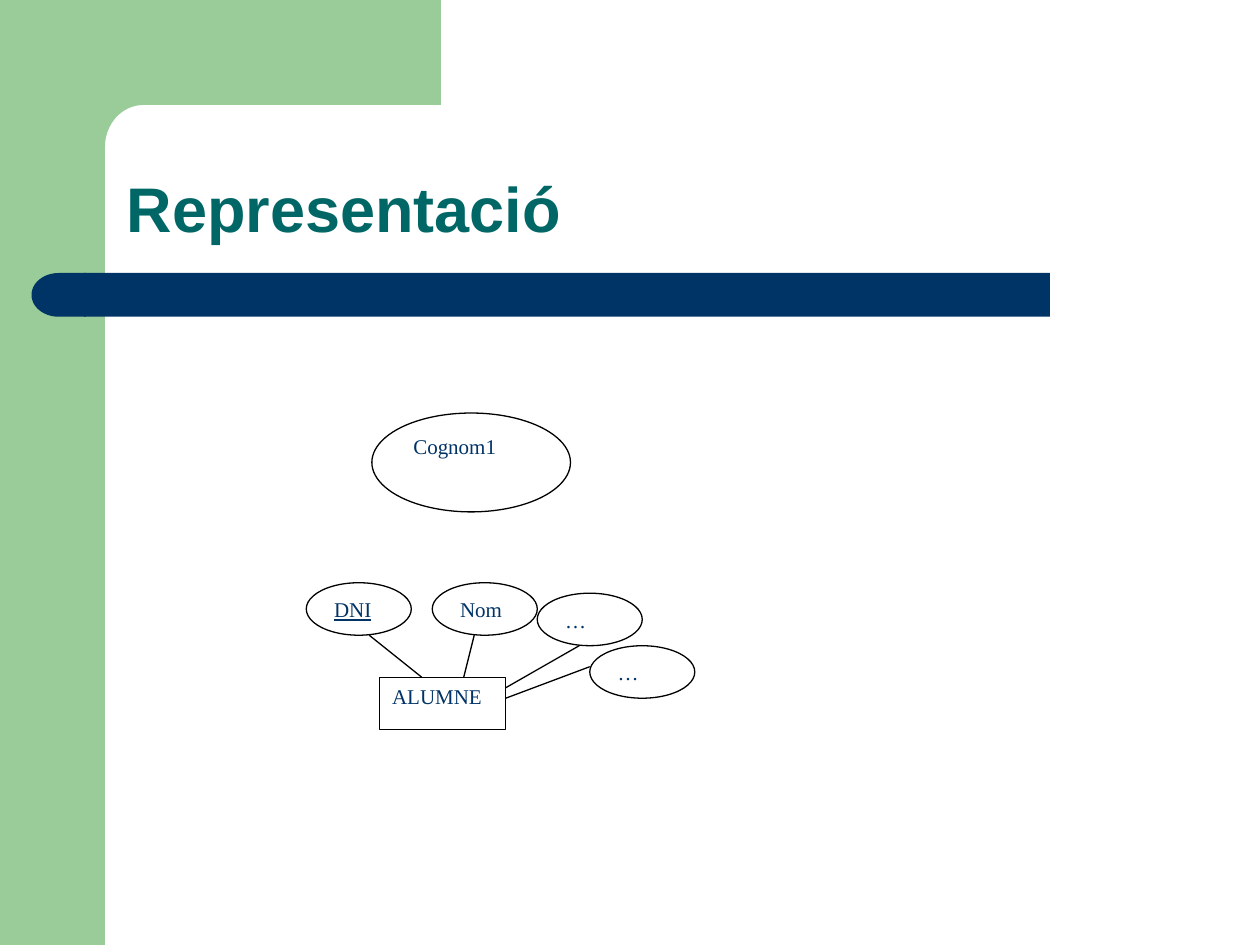
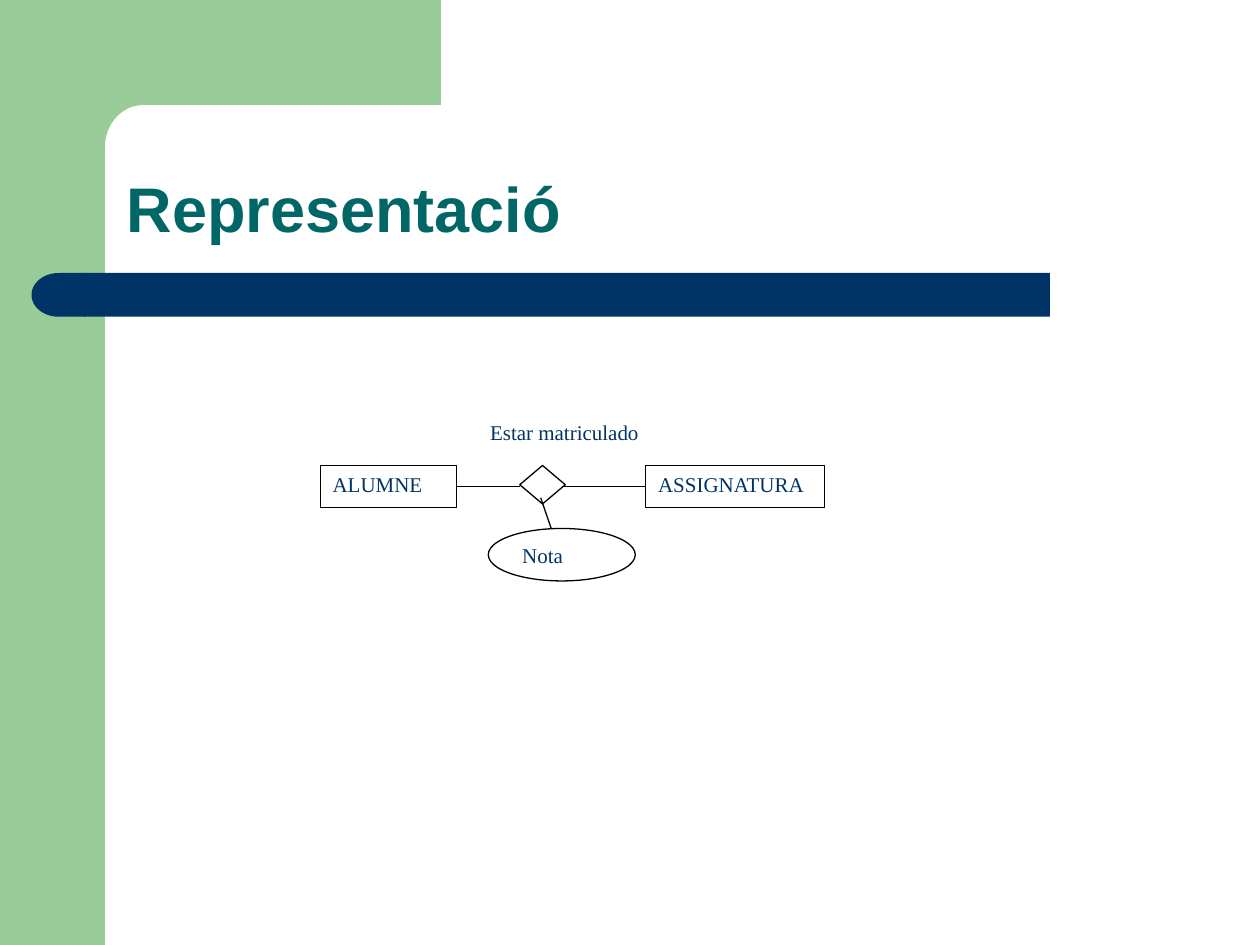
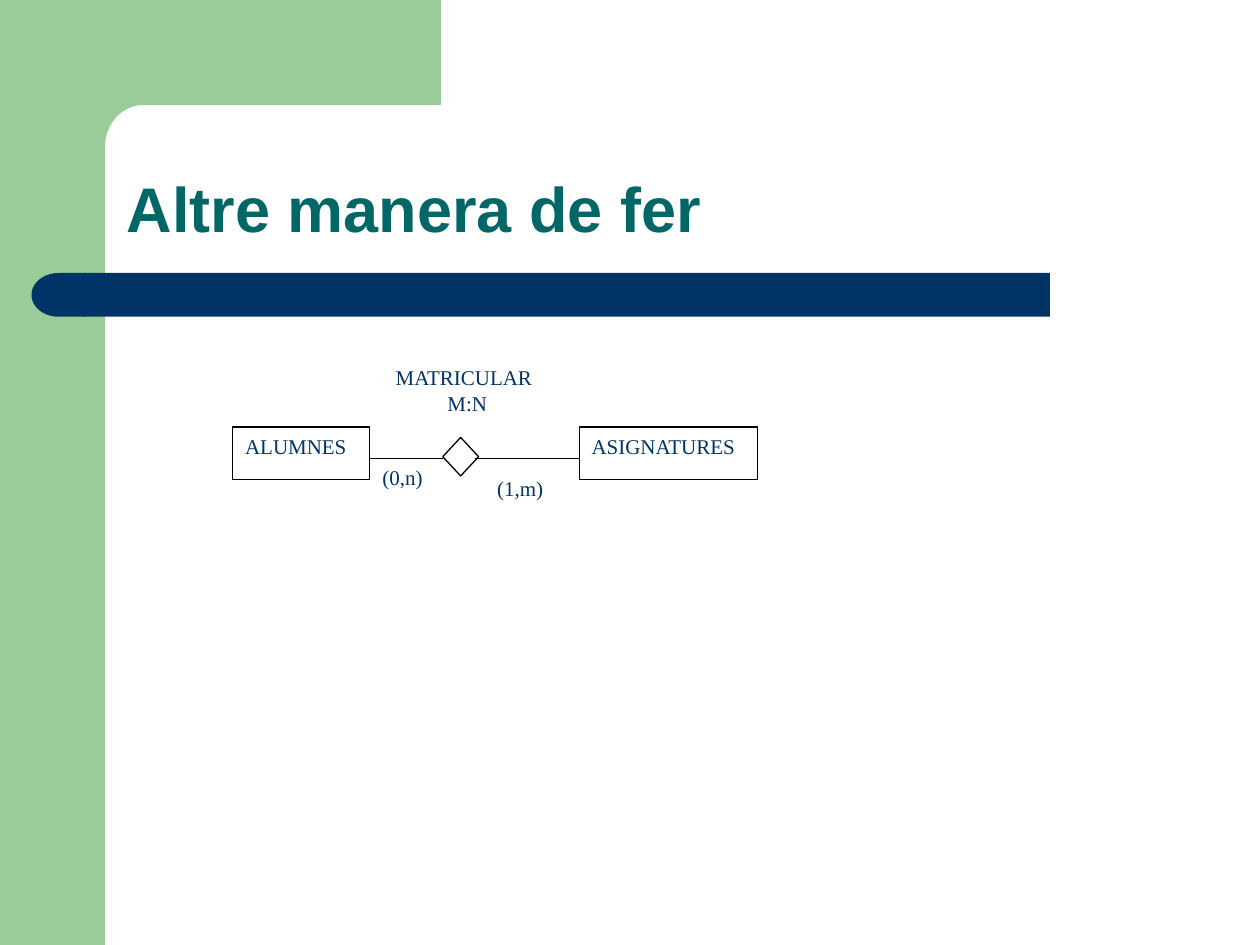
"""Build three entity-relationship slides that share one frame."""
import math
from dataclasses import dataclass
from typing import Optional

from lxml import etree
from pptx import Presentation
from pptx.dml.color import RGBColor
from pptx.enum import shapes, text
from pptx.oxml.ns import qn
from pptx.util import Pt

GREEN = RGBColor(0x99, 0xCC, 0x99)
NAVY = RGBColor(0x00, 0x33, 0x66)
TEAL = RGBColor(0x00, 0x66, 0x66)
WHITE = RGBColor(0xFF, 0xFF, 0xFF)
BLACK = RGBColor(0x00, 0x00, 0x00)

SHAPE = shapes.MSO_SHAPE
LEFT, CENTER = text.PP_ALIGN.LEFT, text.PP_ALIGN.CENTER
SIDE_LEFT, SIDE_RIGHT = 1, 3
STROKE = 0.75


@dataclass(frozen=True)
class Node:
    """A labelled diagram shape; further lines of its label are centred."""

    label: str
    x: float
    y: float
    w: float
    h: float
    kind: int = SHAPE.RECTANGLE
    outlined: bool = True
    underline: Optional[bool] = None


@dataclass(frozen=True)
class Link:
    """A straight line, optionally joined to the sides of named entities."""

    x1: float
    y1: float
    x2: float
    y2: float
    leaves: Optional[str] = None
    enters: Optional[str] = None


@dataclass(frozen=True)
class Diagram:
    """The title and the contents of one slide."""

    title: str
    nodes: tuple[Node, ...]
    links: tuple[Link, ...]


def attribute(label: str, x: float, y: float, w: float = 60, h: float = 30,
              underline: Optional[bool] = None) -> Node:
    """Return an attribute ellipse."""
    return Node(label, x, y, w, h, SHAPE.OVAL, underline=underline)


def relation(x: float, y: float, w: float) -> Node:
    """Return a relationship diamond."""
    return Node("", x, y, w, 22, SHAPE.DIAMOND)


def caption(label: str, x: float, y: float, w: float, h: float) -> Node:
    """Return a label without an outline."""
    return Node(label, x, y, w, h, outlined=False)


DIAGRAMS = (
    Diagram(
        "Representació",
        (
            attribute("Cognom1", 212.5, 236, 113.5, 56.5),
            Node("ALUMNE", 217, 387, 72, 30),
            attribute("DNI", 175, 333, underline=True),
            attribute("Nom", 247, 333),
            attribute("…", 307, 339),
            attribute("…", 337, 369),
        ),
        (
            Link(211, 363, 241, 387),
            Link(271, 363, 265, 387),
            Link(331, 369, 289, 393),
            Link(337, 381, 289, 399),
        ),
    ),
    Diagram(
        "Representació",
        (
            Node("ALUMNE", 183, 266, 78, 24),
            Node("ASSIGNATURA", 369, 266, 102, 24),
            relation(297, 266, 26),
            attribute("Nota", 279, 302, 84),
            caption("Estar matriculado", 273, 236, 114, 24),
        ),
        (
            Link(261, 278, 297, 278, leaves="ALUMNE"),
            Link(321, 278, 369, 278, enters="ASSIGNATURA"),
            Link(315, 302, 309, 284.5),
        ),
    ),
    Diagram(
        "Altre manera de fer",
        (
            caption("(0,n)", 211.5, 262, 42, 30),
            Node("ALUMNES", 133, 244, 78, 30),
            Node("ASIGNATURES", 331, 244, 102, 30),
            relation(253, 250, 20.5),
            caption("(1,m)", 277, 268, 48, 30),
            caption("MATRICULAR\nM:N", 219, 205, 96, 42),
        ),
        (
            Link(211, 262, 253, 262),
            Link(271.5, 262, 331, 262),
        ),
    ),
)


def paint(sp, fill: RGBColor, line: Optional[RGBColor] = None) -> None:
    """Set a flat fill and an optional thin outline."""
    sp.shadow.inherit = False
    sp.fill.solid()
    sp.fill.fore_color.rgb = fill
    if line is None:
        sp.line.fill.background()
    else:
        sp.line.color.rgb = line
        sp.line.width = Pt(STROKE)


def add_box(slide, kind: int, x: float, y: float, w: float, h: float):
    """Add a preset shape measured in points."""
    return slide.shapes.add_shape(kind, Pt(x), Pt(y), Pt(w), Pt(h))


def add_run(p, content: str, font: str, size: float, color: RGBColor):
    """Add one styled run and return it."""
    r = p.add_run()
    r.text = content
    r.font.name = font
    r.font.size = Pt(size)
    r.font.color.rgb = color
    return r


def add_elbow(slide) -> None:
    """Add the top band with its rounded inner corner."""
    cx, cy, rx, ry, steps = 82, 84, 22, 24, 16
    angles = [math.pi / 2 * i / steps for i in range(steps + 1)]
    corner = [(cx - rx * math.sin(a), cy - ry * math.cos(a)) for a in angles]
    points = [(252, 60), *corner, (60, 92), (36, 92), (36, 0)]
    builder = slide.shapes.build_freeform(Pt(252), Pt(0))
    builder.add_line_segments([(Pt(x), Pt(y)) for x, y in points])
    paint(builder.convert_to_shape(), GREEN)


def add_frame(slide, title: str) -> None:
    """Draw the shared bands and the slide title."""
    paint(add_box(slide, SHAPE.RECTANGLE, 0, 0, 60, 540), GREEN)
    add_elbow(slide)
    paint(add_box(slide, SHAPE.RECTANGLE, 48, 156, 552, 25), NAVY)
    cap = add_box(slide, SHAPE.FLOWCHART_DELAY, 18, 156, 31, 25)
    cap.rotation = 180
    paint(cap, NAVY)

    tb = slide.shapes.add_textbox(Pt(65.5), Pt(65.5), Pt(612.5), Pt(78.5))
    tf = tb.text_frame
    tf.word_wrap = True
    tf.vertical_anchor = text.MSO_ANCHOR.BOTTOM
    p = tf.paragraphs[0]
    p.line_spacing = 0.9
    add_run(p, title, "Arial", 36, TEAL).font.bold = True


def add_node(slide, node: Node):
    """Draw one diagram shape with its label."""
    sp = add_box(slide, node.kind, node.x, node.y, node.w, node.h)
    paint(sp, WHITE, BLACK if node.outlined else None)
    if node.label:
        tf = sp.text_frame
        tf.word_wrap = True
        tf.vertical_anchor = text.MSO_ANCHOR.TOP
        for i, line in enumerate(node.label.split("\n")):
            p = tf.add_paragraph() if i else tf.paragraphs[0]
            p.alignment = CENTER if i else LEFT
            r = add_run(p, line, "Times New Roman", 12, NAVY)
            r.font.underline = node.underline
    return sp


def add_link(slide, link: Link, drawn: dict) -> None:
    """Draw one line and join it to its entities."""
    cx = slide.shapes.add_connector(
        shapes.MSO_CONNECTOR.STRAIGHT,
        Pt(link.x1), Pt(link.y1), Pt(link.x2), Pt(link.y2))
    cx.line.color.rgb = BLACK
    cx.line.width = Pt(STROKE)
    etree.SubElement(cx._element.spPr, qn("a:effectLst"))
    if link.leaves:
        cx.begin_connect(drawn[link.leaves], SIDE_RIGHT)
    if link.enters:
        cx.end_connect(drawn[link.enters], SIDE_LEFT)


def main() -> None:
    """Build and save the presentation."""
    prs = Presentation()
    prs.slide_width, prs.slide_height = Pt(720), Pt(540)
    for diagram in DIAGRAMS:
        slide = prs.slides.add_slide(prs.slide_layouts[6])
        add_frame(slide, diagram.title)
        drawn = {node.label: add_node(slide, node) for node in diagram.nodes}
        for link in diagram.links:
            add_link(slide, link, drawn)
    prs.save("out.pptx")


if __name__ == "__main__":
    main()
